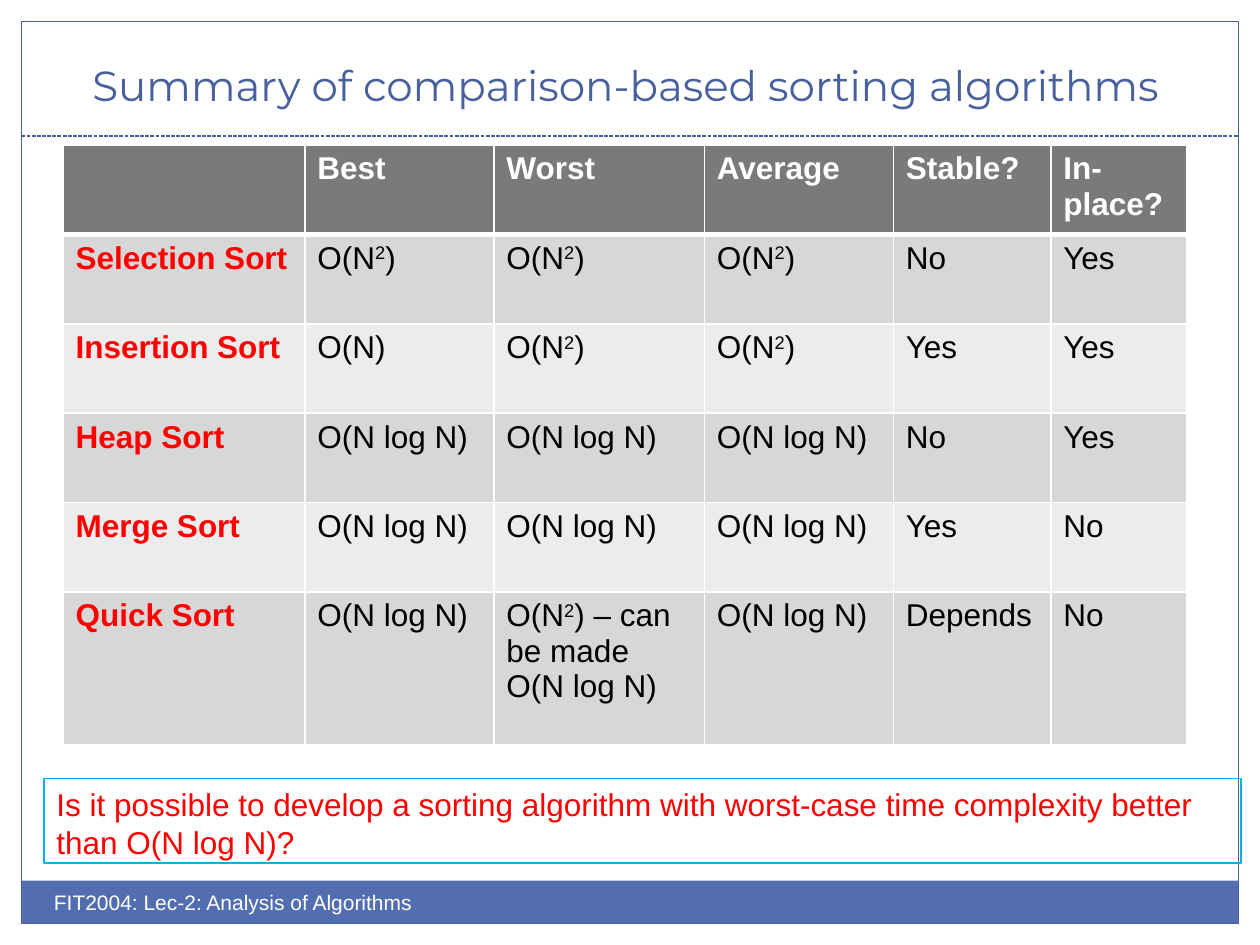
from lxml.etree import SubElement
from pptx import Presentation
from pptx.dml.color import RGBColor
from pptx.enum.dml import MSO_LINE
from pptx.enum.shapes import MSO_CONNECTOR, MSO_SHAPE
from pptx.enum.text import MSO_ANCHOR, PP_ALIGN
from pptx.oxml import parse_xml
from pptx.oxml.ns import nsdecls, qn
from pptx.util import Inches, Pt

BLUE, WHITE, RED, BLACK = "48609B", "FFFFFF", "FF0000", "000000"
COLUMNS = [1.92, 1.5, 1.67, 1.5, 1.25, 1.08]
HEIGHTS = [0.71] * 5 + [1.21]
ROWS = [
    ["", "Best", "Worst", "Average", "Stable?", "In-place?"],
    ["Selection Sort", "O(N^2^)", "O(N^2^)", "O(N^2^)", "No", "Yes"],
    ["Insertion Sort", "O(N)", "O(N^2^)", "O(N^2^)", "Yes", "Yes"],
    ["Heap Sort", "O(N log N)", "O(N log N)", "O(N log N)", "No", "Yes"],
    ["Merge Sort", "O(N log N)", "O(N log N)", "O(N log N)", "Yes", "No"],
    ["Quick Sort", "O(N log N)", "O(N^2^) – can be made O(N log N)",
     "O(N log N)", "Depends", "No"],
]


def rgb(color):
    """Return a colour from its hex string."""
    return RGBColor.from_string(color)


def style(r, size, color, bold=False, font="Arial"):
    """Format one run."""
    r.font.size, r.font.bold, r.font.name = Pt(size), bold, font
    r.font.color.rgb = rgb(color)


def add_box(s, left, top, width, height, fill=None, line=None):
    """Add a plain rectangle."""
    sp = s.shapes.add_shape(MSO_SHAPE.RECTANGLE, Inches(left), Inches(top),
                            Inches(width), Inches(height))
    sp.shadow.inherit = False
    if fill:
        sp.fill.solid()
        sp.fill.fore_color.rgb = rgb(fill)
    else:
        sp.fill.background()
    if line:
        sp.line.color.rgb, sp.line.width = rgb(line), Pt(0.75)
    else:
        sp.line.fill.background()
    return sp


def add_frame(s, left, top, width, height):
    """Draw the slide border, the footer band and the dashed title rule."""
    add_box(s, left, top + height - 0.34, width, 0.34, fill="526DB0")
    add_box(s, left, top, width, height, line=BLUE)
    y = Inches(top + 0.91)
    rule = s.shapes.add_connector(MSO_CONNECTOR.STRAIGHT, Inches(left), y,
                                  Inches(left + width), y)
    rule.line.color.rgb, rule.line.width = rgb(BLUE), Pt(0.75)
    rule.line.dash_style = MSO_LINE.SQUARE_DOT
    SubElement(rule._element.spPr, qn("a:effectLst"))


def add_title(s, left, top, width, height, text):
    """Place and format the title placeholder."""
    sp = s.shapes.title
    sp.left, sp.top, sp.width, sp.height = map(Inches, (left, top, width, height))
    tf = sp.text_frame
    tf.text = text
    tf.vertical_anchor = MSO_ANCHOR.BOTTOM
    p = tf.paragraphs[0]
    p.alignment = PP_ALIGN.CENTER
    style(p.runs[0], 24, BLUE, font="Montserrat")


def set_borders(cell, bottom):
    """Give a cell white borders with the given bottom width."""
    tcPr = cell._tc.get_or_add_tcPr()
    for i, (side, width) in enumerate(zip("LRTB", (1, 1, 1, bottom))):
        tcPr.insert(i, parse_xml(
            f'<a:ln{side} {nsdecls("a")} w="{Pt(width)}"><a:solidFill>'
            f'<a:srgbClr val="{WHITE}"/></a:solidFill></a:ln{side}>'))


def fill_cell(cell, text, fill, color, bold):
    """Write a cell, raising the parts between carets."""
    cell.fill.solid()
    cell.fill.fore_color.rgb = rgb(fill)
    p = cell.text_frame.paragraphs[0]
    for i, part in enumerate(text.split("^") if text else []):
        r = p.add_run()
        r.text = part
        style(r, 18, color, bold)
        if i % 2:
            r._r.get_or_add_rPr().set("baseline", "30000")


def add_sort_table(s, left, top):
    """Add the table that compares the sorting algorithms."""
    table = s.shapes.add_table(len(ROWS), len(COLUMNS), Inches(left), Inches(top),
                               Inches(sum(COLUMNS)), Inches(sum(HEIGHTS))).table
    table.horz_banding = False
    for column, width in zip(table.columns, COLUMNS):
        column.width = Inches(width)
    for i, (row, height) in enumerate(zip(table.rows, HEIGHTS)):
        row.height = Inches(height)
        fill = "7A7A7A" if i == 0 else "D7D7D7" if i % 2 else "ECECEC"
        for j, cell in enumerate(row.cells):
            color = WHITE if i == 0 else RED if j == 0 else BLACK
            fill_cell(cell, ROWS[i][j], fill, color, i == 0 or j == 0)
            set_borders(cell, 3 if i == 0 else 1)


def add_question(s, left, top, width, height, text):
    """Add the outlined question."""
    tf = add_box(s, left, top, width, height, line="00B0F0").text_frame
    tf.word_wrap = True
    tf.vertical_anchor = MSO_ANCHOR.TOP
    tf.text = text
    p = tf.paragraphs[0]
    p.alignment = PP_ALIGN.LEFT
    p.space_before = Pt(3.6)
    style(p.runs[0], 18, RED)


def add_footer(s, left, top, width, height, text):
    """Add the footer text."""
    tf = s.shapes.add_textbox(Inches(left), Inches(top), Inches(width),
                              Inches(height)).text_frame
    tf.word_wrap = True
    tf.text = text
    style(tf.paragraphs[0].runs[0], 12, WHITE)


def main():
    """Build the slide."""
    prs = Presentation()
    prs.slide_width, prs.slide_height = Inches(10), Inches(7.5)
    s = prs.slides.add_slide(prs.slide_layouts[5])
    add_frame(s, 0.17, 0.17, 9.66, 7.16)
    add_title(s, 0.25, -0.33, 9.43, 1.25,
              "Summary of comparison-based sorting algorithms")
    add_sort_table(s, 0.5, 1.15)
    add_question(s, 0.35, 6.18, 9.5, 0.67,
                 "Is it possible to develop a sorting algorithm with worst-case "
                 "time complexity better than O(N log N)?")
    add_footer(s, 0.33, 7.01, 5, 0.4, "FIT2004: Lec-2: Analysis of Algorithms")
    prs.save("out.pptx")


main()
